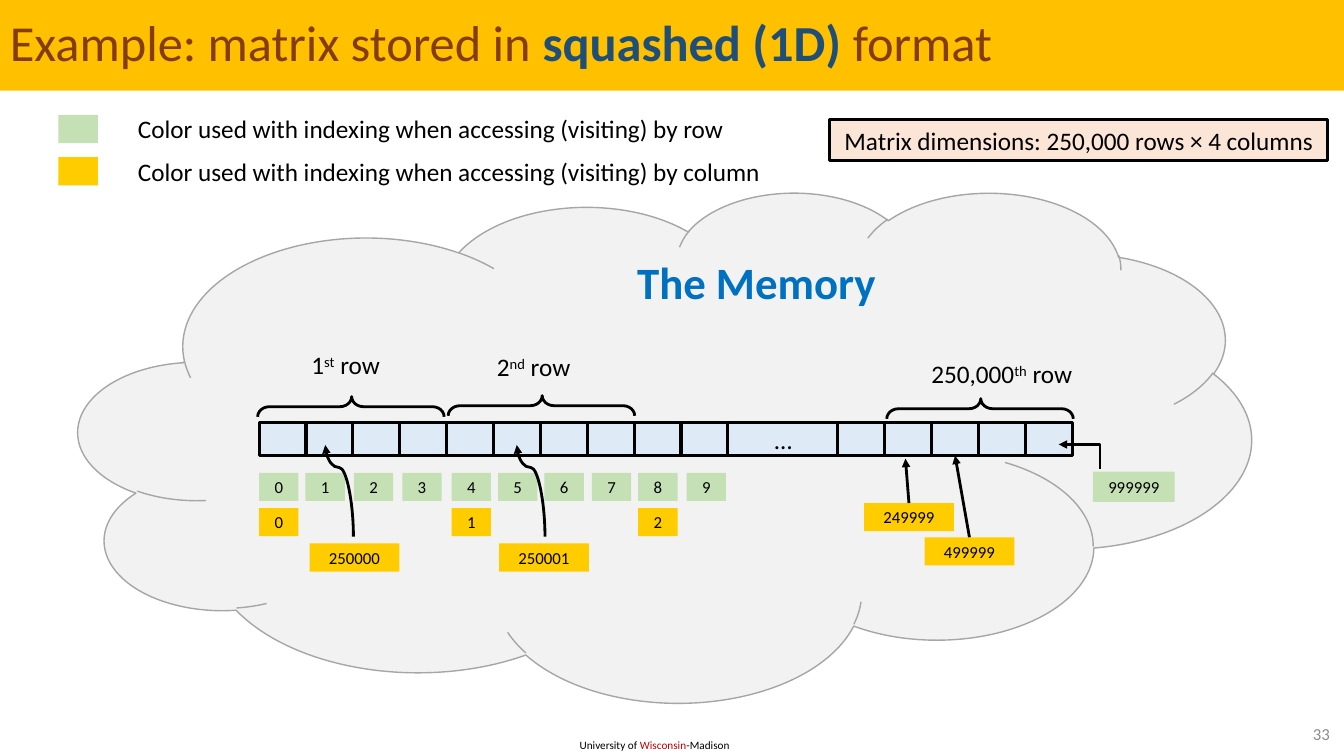
from lxml import etree
from pptx import Presentation
from pptx.dml.color import RGBColor
from pptx.enum.shapes import MSO_CONNECTOR, MSO_SHAPE
from pptx.enum.text import MSO_ANCHOR, MSO_AUTO_SIZE, PP_ALIGN
from pptx.oxml.ns import qn
from pptx.util import Inches, Pt

RECTANGLE, CLOUD, BRACE = MSO_SHAPE.RECTANGLE, MSO_SHAPE.CLOUD, MSO_SHAPE.LEFT_BRACE
STRAIGHT, ELBOW, CURVE = MSO_CONNECTOR.STRAIGHT, MSO_CONNECTOR.ELBOW, MSO_CONNECTOR.CURVE
LEFT, CENTER, RIGHT = PP_ALIGN.LEFT, PP_ALIGN.CENTER, PP_ALIGN.RIGHT
TOP, MIDDLE = MSO_ANCHOR.TOP, MSO_ANCHOR.MIDDLE
GROW, FIXED = MSO_AUTO_SIZE.SHAPE_TO_FIT_TEXT, MSO_AUTO_SIZE.NONE
TOP_SIDE, BOTTOM_SIDE = 0, 2

COLORS = {
    "black": "000000", "title_bar": "FFC000", "title": "843C0B", "title_accent": "1F4E79",
    "cloud": "F2F2F2", "cloud_edge": "A6A6A6", "memory": "0070C0", "note": "FBE5D6",
    "cell": "DEEBF7", "by_row": "C5E0B4", "by_column": "FFCC00", "red": "C00000",
    "page_number": "8C8C8C",
}
CELL_WIDTH, CELL_HEIGHT, CELL_TOP = 0.465, 0.33, 4.19
LABEL_WIDTH, WIDE_LABEL_WIDTH, LABEL_HEIGHT = 0.39, 0.89, 0.28
ROW_LABEL_TOP, COLUMN_LABEL_TOP = 4.69, 5.04


class SlideBuilder:
    def __init__(self, slide, font="Calibri"):
        self.slide = slide
        self.font = font

    def color(self, name):
        return RGBColor.from_string(COLORS[name])

    def fill_frame(self, frame, runs, size, color="black", align=LEFT, anchor=TOP, bold=False):
        """Fill a frame with one paragraph; runs are (text, run colour, bold, baseline)."""
        frame.vertical_anchor = anchor
        paragraph = frame.paragraphs[0]
        paragraph.alignment = align
        paragraph.font.name = self.font
        paragraph.font.size = Pt(size)
        paragraph.font.bold = bold
        paragraph.font.color.rgb = self.color(color)
        for text, run_color, run_bold, baseline in runs:
            run = paragraph.add_run()
            run.text = text
            if run_color:
                run.font.color.rgb = self.color(run_color)
            if run_bold:
                run.font.bold = True
            if baseline:
                run._r.get_or_add_rPr().set("baseline", str(baseline))
        return paragraph

    def shape(self, kind, left, top, width, height, fill=None, line=None, weight=1):
        shape = self.slide.shapes.add_shape(
            kind, Inches(left), Inches(top), Inches(width), Inches(height))
        shape.shadow.inherit = False
        if fill:
            shape.fill.solid()
            shape.fill.fore_color.rgb = self.color(fill)
        else:
            shape.fill.background()
        if line:
            shape.line.color.rgb = self.color(line)
            shape.line.width = Pt(weight)
        else:
            shape.line.fill.background()
        return shape

    def label(self, text, left, top, fill, width=LABEL_WIDTH, height=LABEL_HEIGHT):
        shape = self.shape(RECTANGLE, left, top, width, height, fill)
        self.fill_frame(shape.text_frame, plain(text), 12, align=CENTER, anchor=MIDDLE)
        shape.text_frame.word_wrap = False
        return shape

    def cell(self, left, width=CELL_WIDTH):
        return self.shape(RECTANGLE, left, CELL_TOP, width, CELL_HEIGHT, "cell", "black", 2.25)

    def text(self, runs, left, top, width, height, size, wrap=True, auto_size=GROW, **style):
        box = self.slide.shapes.add_textbox(
            Inches(left), Inches(top), Inches(width), Inches(height))
        box.text_frame.word_wrap = wrap
        box.text_frame.auto_size = auto_size
        self.fill_frame(box.text_frame, runs, size, **style)

    def brace(self, left, top):
        brace = self.shape(BRACE, left, top, 0.2, 1.85, line="black", weight=2)
        brace.rotation = 90
        brace.adjustments[0] = 0.585
        brace.adjustments[1] = 0.496

    def arrow(self, kind, start, end, bend=None, rotation=0):
        """Draw an arrow; bend is the elbow position as a fraction of its length."""
        arrow = self.slide.shapes.add_connector(
            kind, *(Inches(value) for value in (*start, *end)))
        arrow.line.color.rgb = self.color("black")
        arrow.line.width = Pt(2)
        properties = arrow._element.spPr
        etree.SubElement(properties.find(qn("a:ln")), qn("a:tailEnd"), type="triangle")
        etree.SubElement(properties, qn("a:effectLst"))
        if rotation:
            properties.find(qn("a:xfrm")).set("rot", str(rotation * 60000))
        if bend is not None:
            guides = properties.find(qn("a:prstGeom")).find(qn("a:avLst"))
            etree.SubElement(guides, qn("a:gd"), name="adj1", fmla=f"val {round(bend * 100000)}")
        return arrow


def plain(text):
    return [(text, None, False, 0)]


def ordinal(number, suffix):
    return [(number, None, False, 0), (suffix, None, False, 30000), (" row", None, False, 0)]


def add_header(builder):
    title = builder.shape(RECTANGLE, 0, 0, 13.33, 0.9, "title_bar")
    paragraph = builder.fill_frame(title.text_frame, [
        ("Example: matrix stored in ", None, False, 0),
        ("squashed (1D)", "title_accent", True, 0),
        (" format", None, False, 0)], 36, "title", anchor=MIDDLE)
    paragraph.line_spacing = 0.9

    note = builder.shape(RECTANGLE, 8.23, 1.19, 4.94, 0.4, "note", "black", 2.25)
    builder.fill_frame(note.text_frame, plain("Matrix dimensions: 250,000 rows × 4 columns"),
                       18, align=CENTER, anchor=MIDDLE)

    for index, (fill, order) in enumerate((("by_row", "row"), ("by_column", "column"))):
        top = 1.14 + 0.42 * index
        builder.shape(RECTANGLE, 0.58, top, LABEL_WIDTH, LABEL_HEIGHT, fill)
        builder.text(plain(f"Color used with indexing when accessing (visiting) by {order}"),
                     1.27, top - 0.06, 6.47, 0.4, 18)


def add_footer(builder):
    builder.text([("University of ", None, False, 0), ("Wisconsin", "red", False, 0),
                  ("-Madison", None, False, 0)], 5.65, 7.28, 1.72, 0.24, 8)
    builder.text(plain("33"), 12.53, 7.13, 0.76, 0.29, 12, auto_size=FIXED,
                 color="page_number", align=RIGHT, anchor=MIDDLE)


def add_memory(builder):
    builder.shape(CLOUD, 0.78, 1.9, 11.63, 5.06, "cloud", "cloud_edge")
    builder.text(plain("The Memory"), 6.22, 2.48, 2.59, 0.64, 32, wrap=False,
                 color="memory", bold=True)

    for index in range(10):
        builder.cell(2.57 + CELL_WIDTH * index)
    gap = builder.cell(7.22, 1.1)
    builder.fill_frame(gap.text_frame, plain("…"), 18, align=CENTER, anchor=MIDDLE)
    last_cells = [builder.cell(8.31 + CELL_WIDTH * index) for index in range(5)]

    row_label_lefts = (2.57, 3.03, 3.51, 3.99, 4.48, 4.94, 5.4, 5.87, 6.33, 6.81)
    for index, left in enumerate(row_label_lefts):
        builder.label(str(index), left, ROW_LABEL_TOP, "by_row")
    for index, left in enumerate(row_label_lefts[::4]):
        builder.label(str(index), left, COLUMN_LABEL_TOP, "by_column")
    builder.label("999999", 10.84, 4.68, "by_row", 0.81, 0.3)
    builder.arrow(ELBOW, (10.91, 4.65), (10.5, 4.41), bend=0)

    for text, left, arrow_left in (("250000", 3.07, 2.91), ("250001", 4.95, 4.81)):
        builder.label(text, left, 5.39, "by_column", WIDE_LABEL_WIDTH)
        builder.arrow(CURVE, (arrow_left, 5.01), (arrow_left + 0.91, 4.73),
                      bend=0.754, rotation=270)

    first_column_end = builder.label("249999", 8.57, 4.99, "by_column", WIDE_LABEL_WIDTH)
    second_column_end = builder.label("499999", 9.17, 5.33, "by_column", WIDE_LABEL_WIDTH)
    arrow = builder.arrow(STRAIGHT, (9.01, 4.97), (8.98, 4.55))
    arrow.begin_connect(first_column_end, TOP_SIDE)
    arrow = builder.arrow(STRAIGHT, (9.61, 5.33), (9.48, 4.52))
    arrow.begin_connect(second_column_end, TOP_SIDE)
    arrow.end_connect(last_cells[2], BOTTOM_SIDE)

    for number, suffix, left, top, width, brace_left, brace_top in (
            ("1", "st", 2.99, 3.42, 0.91, 3.38, 3.11),
            ("2", "nd", 4.83, 3.44, 0.96, 5.27, 3.1),
            ("250,000", "th", 9.14, 3.51, 1.63, 9.62, 3.13)):
        builder.text(ordinal(number, suffix), left, top, width, 0.4, 18, wrap=False)
        builder.brace(brace_left, brace_top)


def main():
    presentation = Presentation()
    presentation.slide_width = Inches(13.33)
    presentation.slide_height = Inches(7.5)
    builder = SlideBuilder(presentation.slides.add_slide(presentation.slide_layouts[6]))
    add_memory(builder)
    add_header(builder)
    add_footer(builder)
    presentation.save("out.pptx")


if __name__ == "__main__":
    main()
